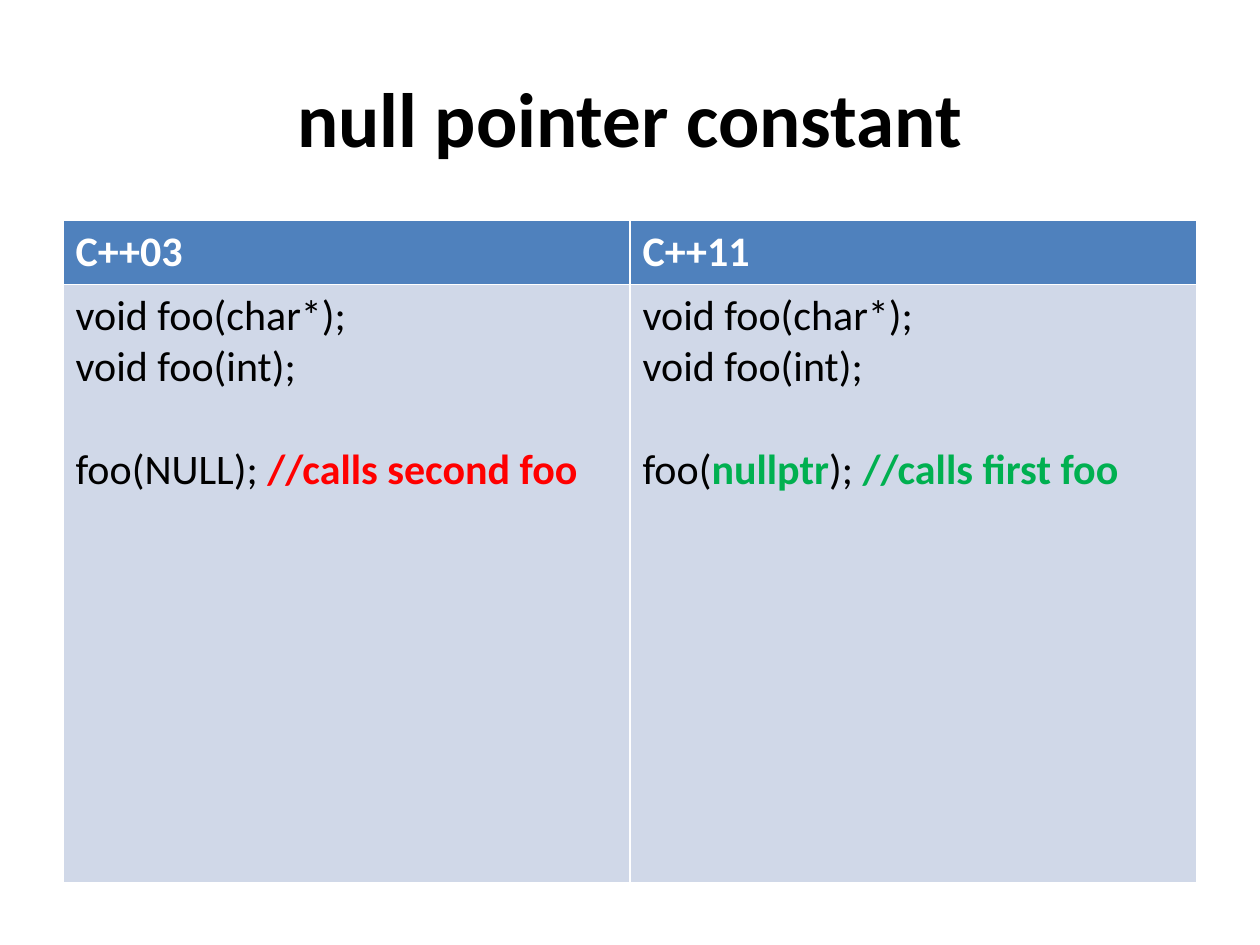
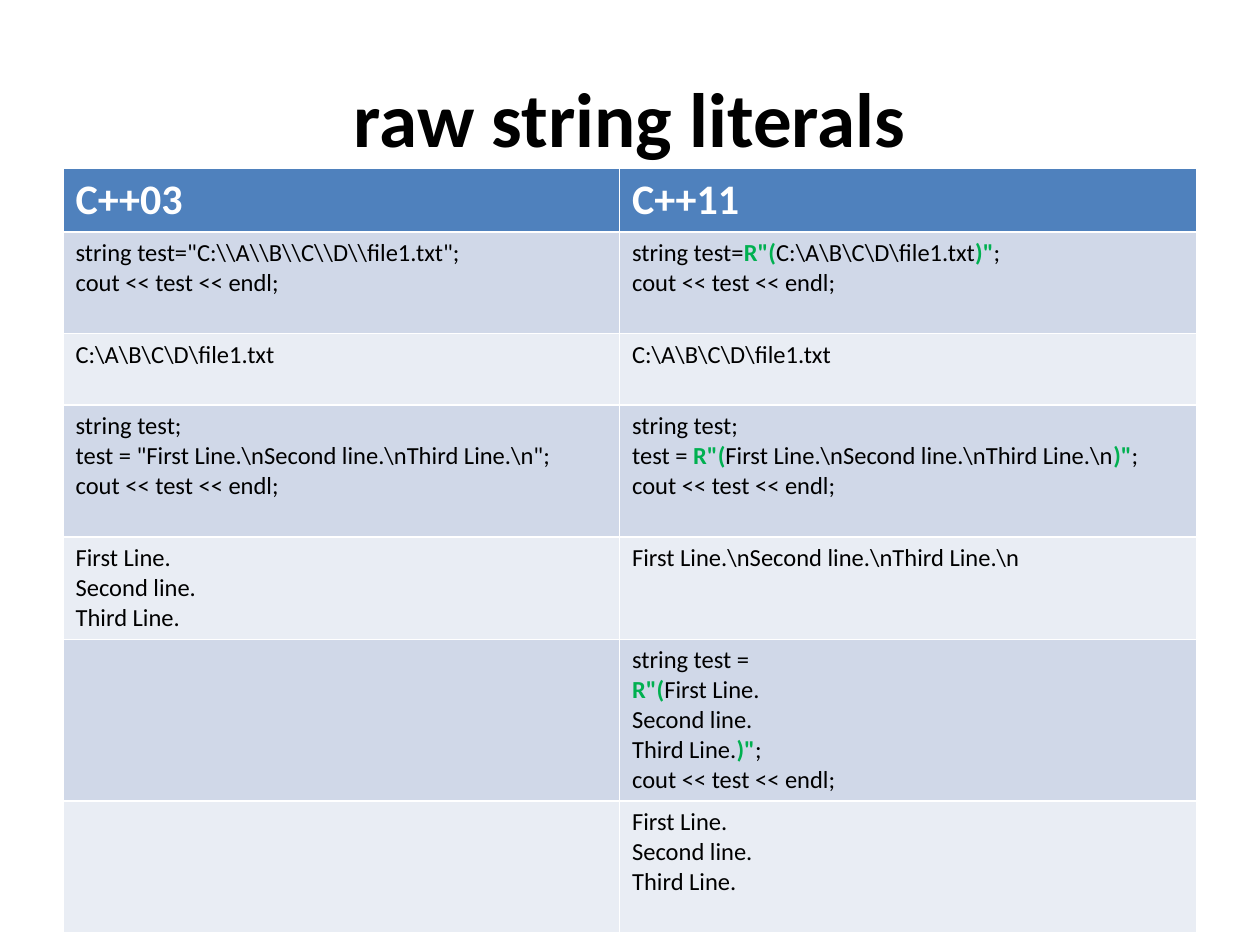
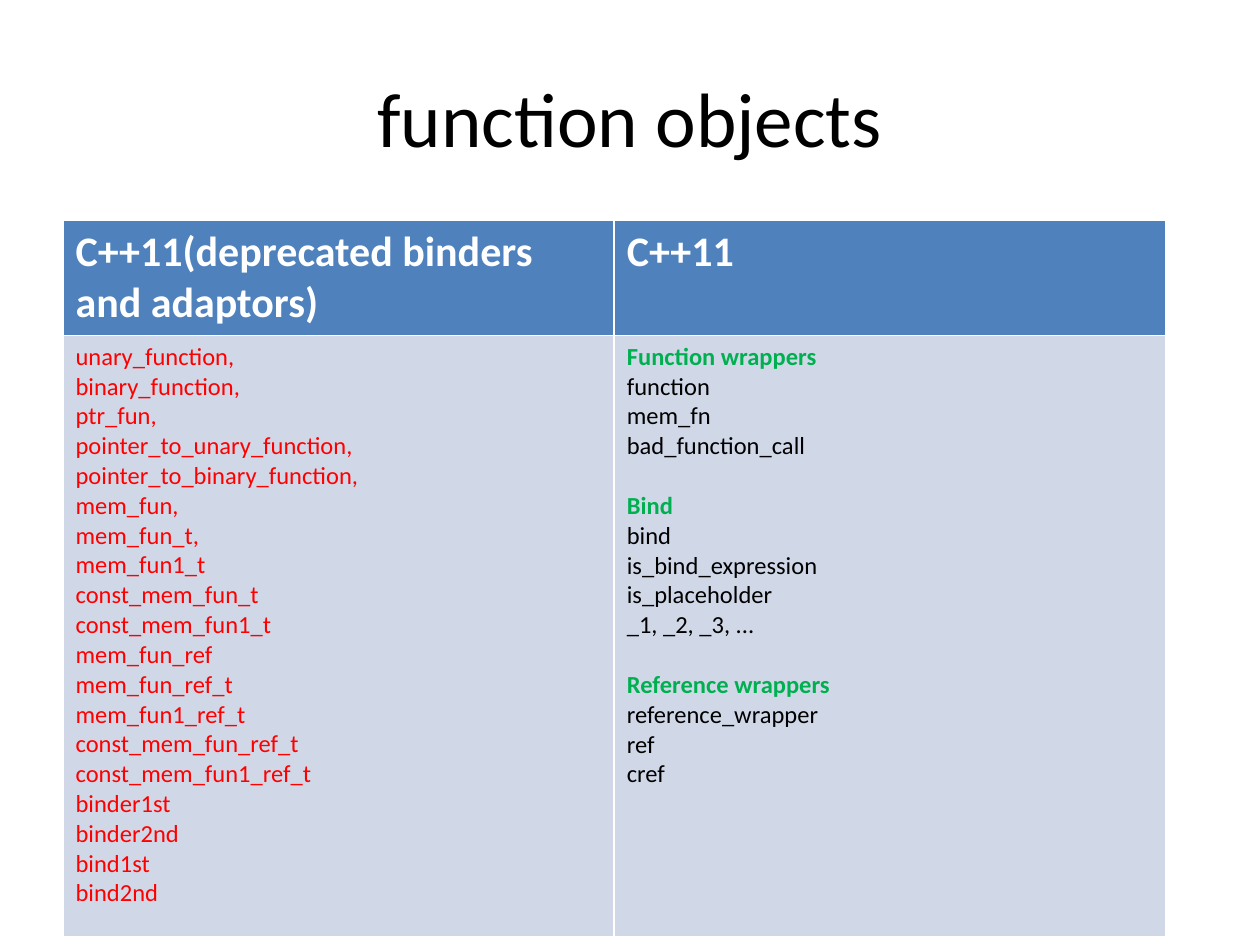
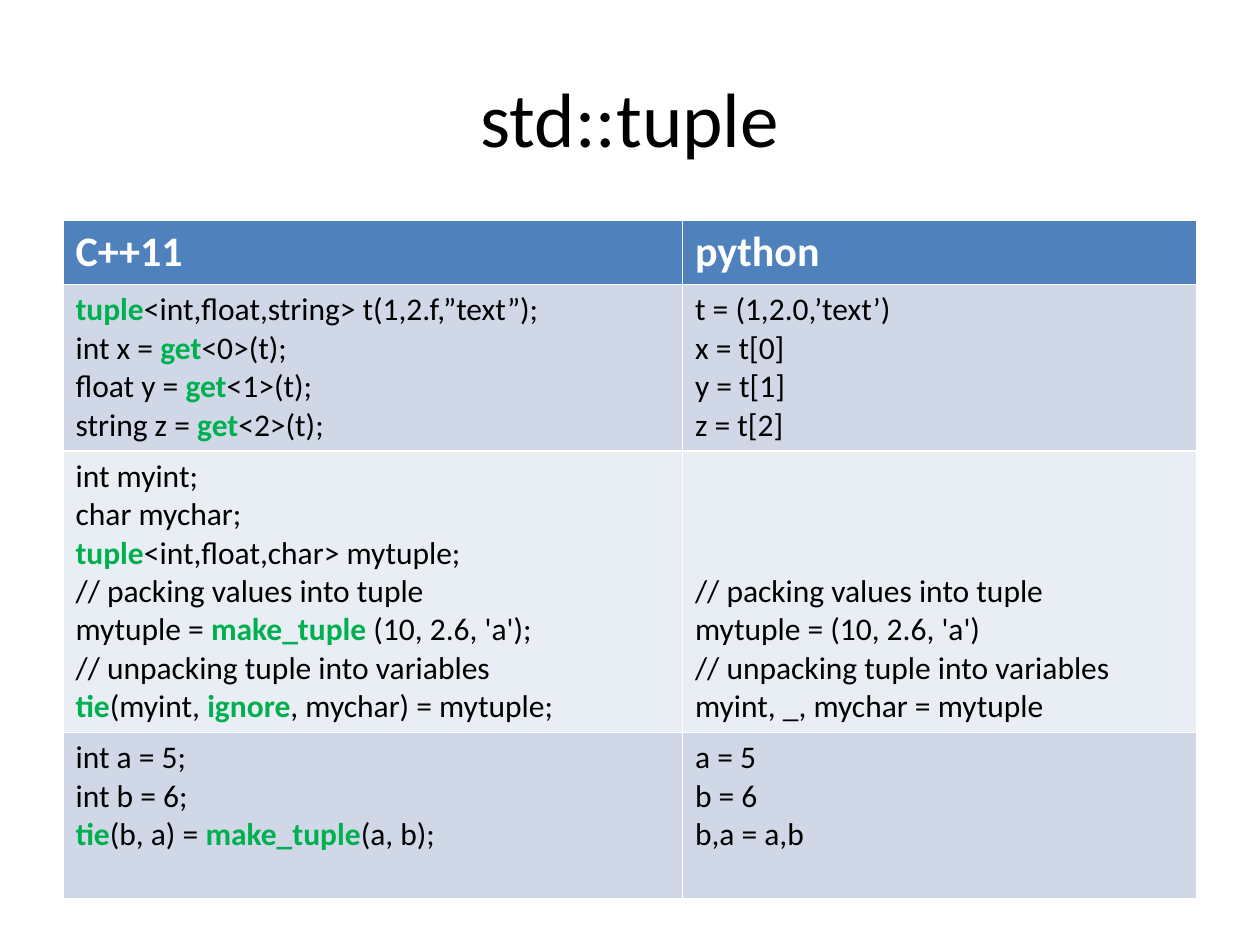
"""Build four slides that compare language features in two-column tables."""
import pptx
import pptx.dml.color
import pptx.enum.text
import pptx.util

Pt = pptx.util.Pt
FONT = "Calibri"
BLACK, WHITE, RED, GREEN = "000000", "FFFFFF", "FF0000", "00B050"
HEADER, BANDS = "4F81BD", ("D0D8E8", "E9EDF4")
LEFT = 36
GAP = None


def rgb(value):
    """Turn a hex string into a colour."""
    return pptx.dml.color.RGBColor.from_string(value)


def key(text, color=GREEN):
    """Mark a piece of code as highlighted."""
    return text, color, True


def add_run(p, text, size, color=BLACK, bold=False):
    """Append one formatted run."""
    r = p.add_run()
    r.text = text
    r.font.name = FONT
    r.font.size = Pt(size)
    r.font.bold = bold
    r.font.color.rgb = rgb(color)


def add_lines(tf, lines, size, color=BLACK, bold=False):
    """Write one paragraph per line, turning each GAP into space before."""
    p = tf.paragraphs[0]
    gap = False
    for i, line in enumerate(lines):
        if line is GAP:
            gap = True
            continue
        if i:
            p = tf.add_paragraph()
        if gap:
            p.space_before = Pt(round(size * 1.22, 1))
            gap = False
        for part in [line] if isinstance(line, str) else line:
            if isinstance(part, str):
                part = part, color, bold
                
            add_run(p, part[0], size, *part[1:])


def add_slide(prs, title, bold=False):
    """Add a slide with a centred title."""
    s = prs.slides.add_slide(prs.slide_layouts[5])
    sp = s.shapes.title
    sp.left, sp.top, sp.width, sp.height = Pt(LEFT), Pt(21.6), Pt(648), Pt(90)
    tf = sp.text_frame
    tf.vertical_anchor = pptx.enum.text.MSO_ANCHOR.MIDDLE
    p = tf.paragraphs[0]
    p.alignment = pptx.enum.text.PP_ALIGN.CENTER
    add_run(p, title, 44, BLACK, bold)
    return s


def fill_cell(cell, color):
    """Give a cell a solid fill."""
    cell.fill.solid()
    cell.fill.fore_color.rgb = rgb(color)


def add_comparison(s, headers, rows, widths, heights, size, top=126):
    """Add a table with a header row and banded rows of code."""
    shape = s.shapes.add_table(len(rows) + 1, len(headers), Pt(LEFT), Pt(top),
                               Pt(sum(widths)), Pt(sum(heights)))
    table = shape.table
    for column, width in zip(table.columns, widths):
        column.width = Pt(width)
    for row, height in zip(table.rows, heights):
        row.height = Pt(height)
    for j, header in enumerate(headers):
        cell = table.cell(0, j)
        fill_cell(cell, HEADER)
        add_lines(cell.text_frame, [header], 24, WHITE, True)
    for i, row in enumerate(rows):
        for j, lines in enumerate(row):
            cell = table.cell(i + 1, j)
            fill_cell(cell, BANDS[i % 2])
            add_lines(cell.text_frame, lines, size)
    return table


def add_null_pointer(prs):
    """Add the slide on null pointers."""
    s = add_slide(prs, "null pointer constant", True)
    overloads = ["void foo(char*);", "void foo(int);", GAP]
    rows = [(
        overloads + [["foo(NULL); ", key("//calls second foo", RED)]],
        overloads + [["foo(", key("nullptr"), "); ", key("//calls first foo")]],
    )]
    add_comparison(s, ("C++03", "C++11"), rows, (324, 324), (36, 342), 24)


def add_raw_strings(prs):
    """Add the slide on raw string literals."""
    s = add_slide(prs, "raw string literals", True)
    start, end = key('R"('), key(')"')
    show = "cout << test << endl;"
    file_name = r"C:\A\B\C\D\file1.txt"
    escaped = r"First Line.\nSecond line.\nThird Line.\n"
    three_lines = ["First Line.", "Second line.", "Third Line."]
    rows = [
        ([r'string test="C:\\A\\B\\C\\D\\file1.txt";', show],
         [["string test=", start, file_name, end, ";"], show]),
        ([file_name], [file_name]),
        (["string test;", f'test = "{escaped}";', show],
         ["string test;", ["test = ", start, escaped, end, ";"], show]),
        (three_lines, [escaped]),
        ([], ["string test =", [start, "First Line."], "Second line.",
              ["Third Line.", end, ";"], show]),
        ([], three_lines),
    ]
    add_comparison(s, ("C++03", "C++11"), rows, (318, 330),
                   (36, 58, 41, 75.5, 58, 92.5, 75), 14, 96)


def add_function_objects(prs):
    """Add the slide on function objects."""
    s = add_slide(prs, "function objects")
    deprecated = [
        "unary_function,", "binary_function,", "ptr_fun,",
        "pointer_to_unary_function,", "pointer_to_binary_function,",
        "mem_fun,", "mem_fun_t,", "mem_fun1_t", "const_mem_fun_t",
        "const_mem_fun1_t", "mem_fun_ref", "mem_fun_ref_t", "mem_fun1_ref_t",
        "const_mem_fun_ref_t", "const_mem_fun1_ref_t", "binder1st",
        "binder2nd", "bind1st", "bind2nd",
    ]
    current = [
        [key("Function wrappers")], "function", "mem_fn", "bad_function_call", GAP,
        [key("Bind")], "bind", "is_bind_expression", "is_placeholder",
        "_1, _2, _3, ...", GAP,
        [key("Reference wrappers")], "reference_wrapper", "ref", "cref",
    ]
    rows = [([[(name, RED, False)] for name in deprecated], current)]
    add_comparison(s, ("C++11(deprecated binders and adaptors)", "C++11"), rows,
                   (315, 315), (65, 343.5), 14)


def add_tuple(prs):
    """Add the slide on tuples."""
    s = add_slide(prs, "std::tuple")
    getters = [[f"{name} = ", key("get"), f"<{i}>(t);"]
               for i, name in enumerate(("int x", "float y", "string z"))]
    packing, unpacking = "// packing values into tuple", "// unpacking tuple into variables"
    rows = [
        ([[key("tuple"), "<int,float,string> t(1,2.f,”text”);"]] + getters,
         ["t = (1,2.0,’text’)", "x = t[0]", "y = t[1]", "z = t[2]"]),
        (["int myint;", "char mychar;",
          [key("tuple"), "<int,float,char> mytuple;"],
          packing, ["mytuple = ", key("make_tuple "), "(10, 2.6, 'a');"],
          unpacking, [key("tie"), "(myint, ", key("ignore"), ", mychar) = mytuple;"]],
         [packing, "mytuple = (10, 2.6, 'a')",
          unpacking, "myint, _, mychar = mytuple"]),
        (["int a = 5;", "int b = 6;",
          [key("tie"), "(b, a) = ", key("make_tuple"), "(a, b);"]],
         ["a = 5", "b = 6", "b,a = a,b"]),
    ]
    table = add_comparison(s, ("C++11", "python"), rows, (354, 294),
                           (36, 95, 160.5, 95), 18)
    table.cell(2, 1).vertical_anchor = pptx.enum.text.MSO_ANCHOR.BOTTOM


def main():
    """Build and save the presentation."""
    prs = pptx.Presentation()
    prs.slide_width, prs.slide_height = Pt(720), Pt(540)
    add_null_pointer(prs)
    add_raw_strings(prs)
    add_function_objects(prs)
    add_tuple(prs)
    prs.save("out.pptx")


if __name__ == "__main__":
    main()
